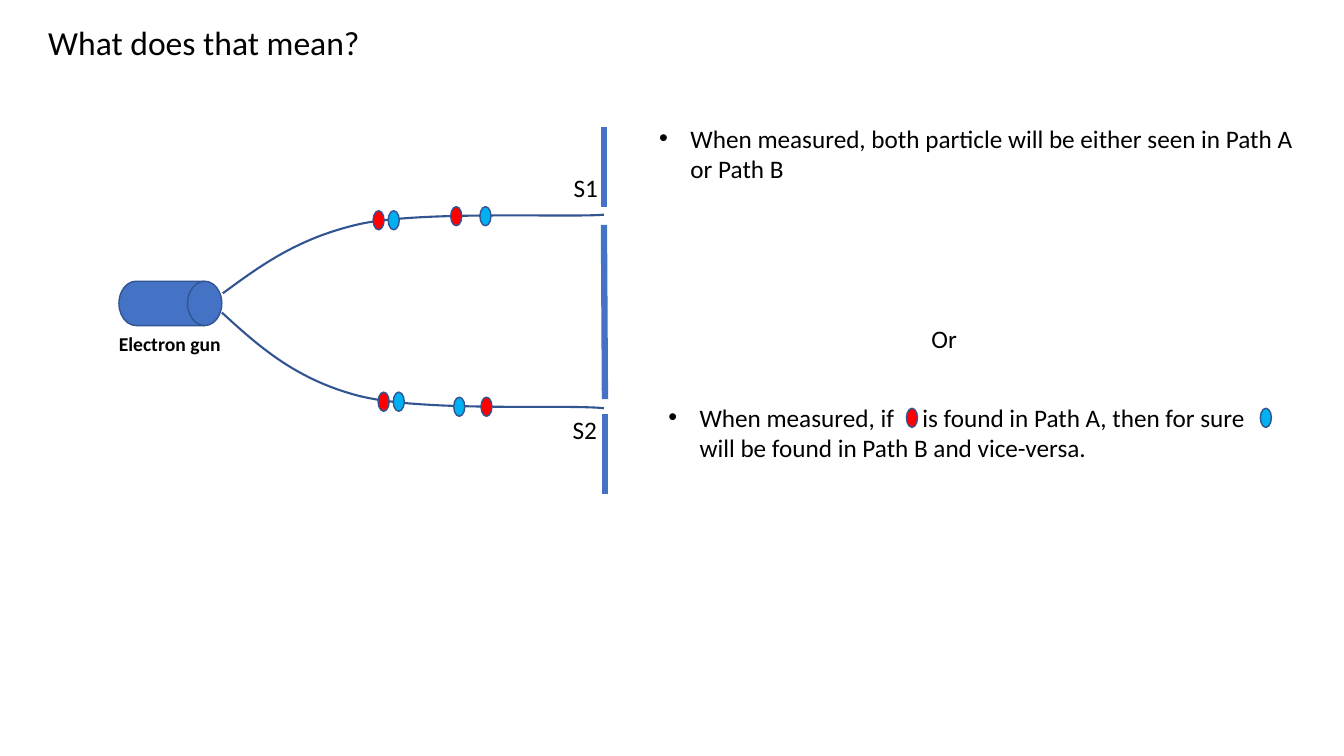
import pptx
import pptx.util
import pptx.dml.color
import pptx.enum.shapes
import pptx.enum.text
import pptx.oxml.ns
from lxml import etree

Inches = pptx.util.Inches
Pt = pptx.util.Pt
qn = pptx.oxml.ns.qn
SHAPES = pptx.enum.shapes.MSO_SHAPE


def color(value):
    return pptx.dml.color.RGBColor.from_string(value)


class Diagram:
    font = "Calibri"
    ink = "000000"
    blue = "4472C4"
    outline = "325491"
    red = "FF0000"
    cyan = "00B0F0"

    def __init__(self, slide):
        self.slide = slide

    def text(self, left, top, width, height, *parts, size=18, bold=False, wrap=False, bullet=False):
        box = self.slide.shapes.add_textbox(Inches(left), Inches(top), Inches(width), Inches(height))
        frame = box.text_frame
        frame.word_wrap = wrap
        frame.auto_size = pptx.enum.text.MSO_AUTO_SIZE.SHAPE_TO_FIT_TEXT
        paragraph = frame.paragraphs[0]
        if bullet:
            properties = paragraph._p.get_or_add_pPr()
            properties.set("marL", str(Inches(0.31)))
            properties.set("indent", str(Inches(-0.31)))
            etree.SubElement(properties, qn("a:buFont")).set("typeface", "Arial")
            etree.SubElement(properties, qn("a:buChar")).set("char", "•")
        for part in parts:
            run = paragraph.add_run()
            run.text = part
            run.font.name = self.font
            run.font.size = Pt(size)
            run.font.bold = bold
            run.font.color.rgb = color(self.ink)
            if part == " ":
                run._r.get_or_add_rPr().set("spc", "1600")

    def shape(self, kind, left, top, width, height, fill):
        shape = self.slide.shapes.add_shape(kind, Inches(left), Inches(top), Inches(width), Inches(height))
        shape.shadow.inherit = False
        shape.fill.solid()
        shape.fill.fore_color.rgb = color(fill)
        shape.line.color.rgb = color(self.outline)
        shape.line.width = Pt(1)

    def particle(self, left, top, fill):
        self.shape(SHAPES.OVAL, left, top, 0.11, 0.19, fill)

    def wall(self, x1, y1, x2, y2):
        wall = self.slide.shapes.add_connector(
            pptx.enum.shapes.MSO_CONNECTOR.STRAIGHT, Inches(x1), Inches(y1), Inches(x2), Inches(y2))
        wall.line.color.rgb = color(self.blue)
        wall.line.width = Pt(4.5)
        etree.SubElement(wall._element.spPr, qn("a:effectLst"))

    def curve(self, *controls, steps=24):
        points = [controls[0]]
        for start in range(0, len(controls) - 1, 3):
            segment = controls[start:start + 4]
            for step in range(1, steps + 1):
                t = step / steps
                weights = ((1 - t) ** 3, 3 * t * (1 - t) ** 2, 3 * t ** 2 * (1 - t), t ** 3)
                points.append(tuple(sum(w * p[axis] for w, p in zip(weights, segment)) for axis in (0, 1)))
        emu = [(Inches(x), Inches(y)) for x, y in points]
        builder = self.slide.shapes.build_freeform(*emu[0])
        builder.add_line_segments(emu[1:], close=False)
        trajectory = builder.convert_to_shape()
        trajectory.shadow.inherit = False
        trajectory.fill.background()
        trajectory.line.color.rgb = color(self.outline)
        trajectory.line.width = Pt(1.5)


def main():
    deck = pptx.Presentation()
    deck.slide_width = Inches(13.33)
    deck.slide_height = Inches(7.5)
    diagram = Diagram(deck.slides.add_slide(deck.slide_layouts[6]))

    diagram.text(0.38, 0.17, 3.32, 0.5, "What does that mean?", size=24)

    diagram.shape(SHAPES.FLOWCHART_DIRECT_ACCESS_STORAGE, 1.18, 2.79, 1.02, 0.44, diagram.blue)
    for wall in ((5.99, 1.26, 5.99, 2.05), (5.99, 2.23, 6, 3.96), (6, 4.11, 6, 4.9)):
        diagram.wall(*wall)
    diagram.curve((2.21, 2.91), (2.58, 2.64), (2.95, 2.36), (3.58, 2.22),
                  (4.21, 2.09), (5.63, 2.16), (5.99, 2.13))
    diagram.curve((2.2, 3.1), (2.57, 3.44), (2.94, 3.77), (3.57, 3.93),
                  (4.21, 4.09), (5.63, 4.01), (5.99, 4.05))
    diagram.text(5.59, 1.66, 0.45, 0.4, "S1")
    diagram.text(5.58, 4.06, 0.45, 0.4, "S2")
    diagram.text(1.08, 3.24, 1.22, 0.34, "Electron gun", size=14, bold=True, wrap=True)

    diagram.text(6.44, 1.17, 6.5, 0.71,
                 "When measured, both particle will be either seen in Path A or Path B",
                 wrap=True, bullet=True)
    diagram.text(9.14, 3.16, 0.46, 0.4, "Or")
    diagram.text(6.53, 3.94, 6.29, 0.71,
                 "When measured, if", " ", "is found in Path A, then for sure", " ",
                 "will be found in Path B and vice-versa.", wrap=True, bullet=True)

    particles = {
        diagram.red: ((3.7, 2.09), (4.47, 2.05), (3.75, 3.89), (4.77, 3.94), (8.99, 4.05)),
        diagram.cyan: ((3.85, 2.09), (4.76, 2.05), (3.9, 3.89), (4.5, 3.94), (12.5, 4.05)),
    }
    for fill, places in particles.items():
        for left, top in places:
            diagram.particle(left, top, fill)

    deck.save("out.pptx")


if __name__ == "__main__":
    main()
